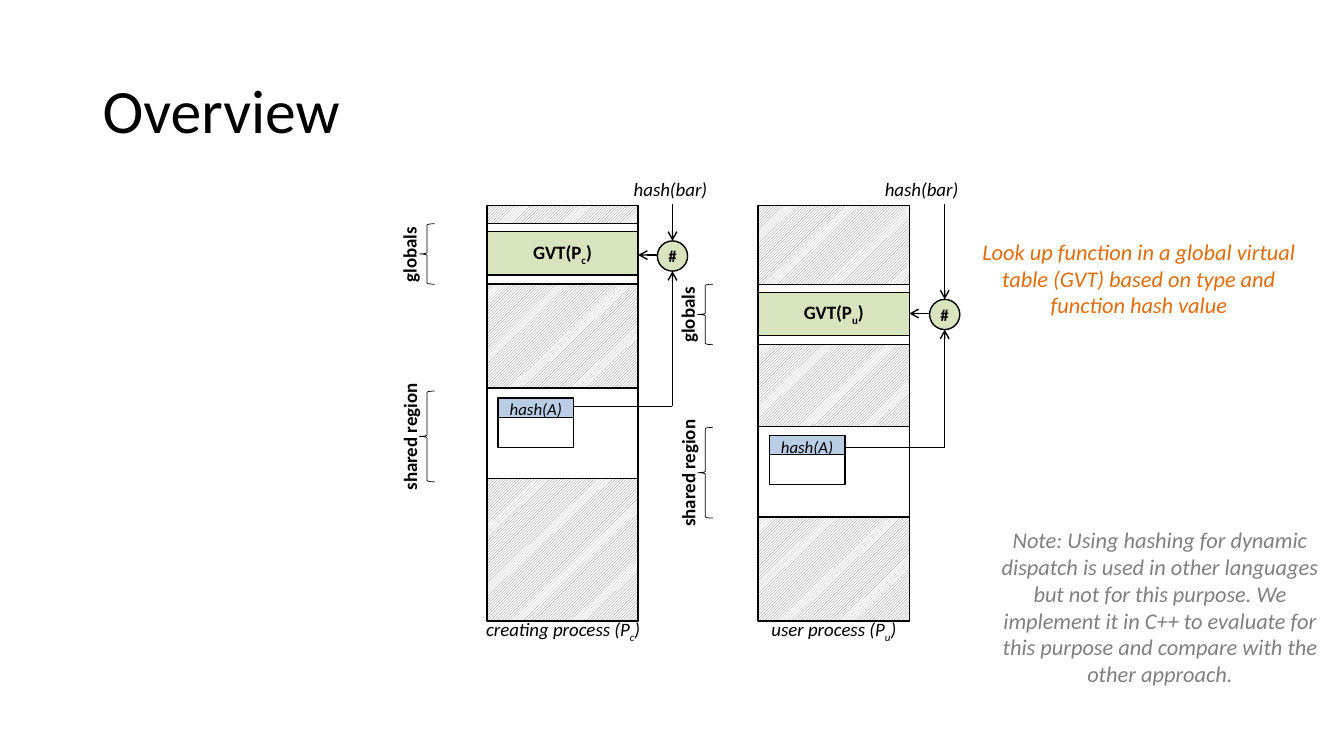
from lxml import etree
from pptx import Presentation
from pptx.dml.color import RGBColor
from pptx.enum.dml import MSO_PATTERN
from pptx.enum.shapes import MSO_CONNECTOR, MSO_SHAPE
from pptx.enum.text import MSO_ANCHOR, MSO_AUTO_SIZE, PP_ALIGN
from pptx.oxml.ns import qn
from pptx.util import Pt

RECT, OVAL, BRACE = MSO_SHAPE.RECTANGLE, MSO_SHAPE.OVAL, MSO_SHAPE.LEFT_BRACE
STRAIGHT = MSO_CONNECTOR.STRAIGHT
HATCH = MSO_PATTERN.LIGHT_UPWARD_DIAGONAL
MIDDLE = MSO_ANCHOR.MIDDLE
LEFT, CENTER = PP_ALIGN.LEFT, PP_ALIGN.CENTER
GROW = MSO_AUTO_SIZE.SHAPE_TO_FIT_TEXT
PX = 9144
FONT = "Calibri"
COLORS = {name: RGBColor.from_string(value) for name, value in {
    "black": "000000", "white": "FFFFFF", "gray": "808080",
    "green": "D7E4BD", "blue": "B9CDE5", "orange": "E46C0A"}.items()}

prs = Presentation()
prs.slide_width, prs.slide_height = 1333 * PX, 750 * PX
shapes = prs.slides.add_slide(prs.slide_layouts[6]).shapes


def add_block(kind, x, y, w, h, fill=None, weight=1):
    block = shapes.add_shape(kind, x * PX, y * PX, w * PX, h * PX)
    block.shadow.inherit = False
    block.line.color.rgb = COLORS["black"]
    block.line.width = Pt(weight)
    if fill:
        block.fill.solid()
        block.fill.fore_color.rgb = COLORS[fill]
    else:
        block.fill.background()
    frame = block.text_frame
    frame.margin_left = frame.margin_right = frame.margin_top = frame.margin_bottom = 0
    frame.vertical_anchor = MIDDLE
    frame.word_wrap = False
    return block


def write(holder, parts, size, bold=False, italic=False, color="black", align=CENTER):
    paragraph = holder.text_frame.paragraphs[0]
    paragraph.alignment = align
    for index, part in enumerate(parts):
        run = paragraph.add_run()
        run.text = part
        run.font.name, run.font.size = FONT, Pt(size)
        run.font.bold, run.font.italic = bold, italic
        run.font.color.rgb = COLORS[color]
        if index == 1:
            run.font._element.set("baseline", "-25000")


title = shapes.add_textbox(92 * PX, 40 * PX, 1150 * PX, 145 * PX)
title.text_frame.word_wrap = True
title.text_frame.vertical_anchor = MIDDLE
write(title, ["Overview"], 44, align=LEFT)
title.text_frame.paragraphs[0].line_spacing = 0.9

MEMORY_Y, MEMORY_W, MEMORY_H = 204, 150, 412
GLOBALS_H, SHARED_H = 60, 90
HASH_SIZE = 30

processes = [
    dict(name="creating process (P", suffix="c", x=483, globals_y=222, shared_y=385,
         object_y=395, link_y=403, hash_x=667, hash_y=254, call_x=618,
         brace_x=416, shared_brace_y=388, caption_x=471, caption_w=175),
    dict(name="user process (P", suffix="u", x=752, globals_y=282, shared_y=423,
         object_y=432, link_y=444, hash_x=937, hash_y=312, call_x=867,
         brace_x=692, shared_brace_y=424, caption_x=754, caption_w=146),
]

for process in processes:
    x, suffix = process["x"], process["suffix"]
    object_x, object_y = x + 11, process["object_y"]
    hash_x, hash_y, link_y = process["hash_x"], process["hash_y"], process["link_y"]
    radius = HASH_SIZE // 2

    memory = add_block(RECT, x, MEMORY_Y, MEMORY_W, MEMORY_H)
    memory.fill.patterned()
    memory.fill.pattern = HATCH
    memory.fill.fore_color.rgb = COLORS["gray"]
    memory.fill.back_color.rgb = COLORS["white"]
    add_block(RECT, x, process["globals_y"], MEMORY_W, GLOBALS_H, "white")
    add_block(RECT, x, process["shared_y"], MEMORY_W, SHARED_H, "white")
    object_hash = add_block(RECT, object_x, object_y, 75, 22, "blue")
    write(object_hash, ["hash(A)"], 12, italic=True)
    add_block(RECT, object_x, object_y + 19, 75, 30, "white")
    table = add_block(RECT, x, process["globals_y"] + 8, MEMORY_W, 43, "green")
    write(table, ["GVT(P", suffix, ")"], 13.5, bold=True)

    arrows = [
        (object_x + 75, link_y, hash_x, link_y, False),
        (hash_x, link_y, hash_x, hash_y + radius, True),
        (hash_x, 202, hash_x, hash_y - radius, True),
        (hash_x - radius, hash_y - 1, x + MEMORY_W, hash_y - 1, True),
    ]
    for x1, y1, x2, y2, pointed in arrows:
        arrow = shapes.add_connector(STRAIGHT, x1 * PX, y1 * PX, x2 * PX, y2 * PX)
        arrow.line.color.rgb = COLORS["black"]
        arrow.line.width = Pt(1)
        if pointed:
            etree.SubElement(arrow.line._get_or_add_ln(), qn("a:tailEnd"), type="arrow")
        etree.SubElement(arrow._element.spPr, qn("a:effectLst"))

    hash_node = add_block(OVAL, hash_x - radius, hash_y - radius, HASH_SIZE, HASH_SIZE, "green")
    write(hash_node, ["#"], 12, bold=True)

    captions = [
        (process["call_x"], 171, 94, ["hash(bar)"]),
        (process["caption_x"], 608, process["caption_w"], [process["name"], suffix, ")"]),
    ]
    for left, top, width, parts in captions:
        caption = shapes.add_textbox(left * PX, top * PX, width * PX, 33 * PX)
        caption.text_frame.word_wrap = False
        caption.text_frame.auto_size = GROW
        write(caption, parts, 13.5, italic=True)

    regions = [
        ("globals", process["globals_y"], GLOBALS_H, 76),
        ("shared region", process["shared_brace_y"], SHARED_H, 127),
    ]
    for region, top, height, width in regions:
        add_block(BRACE, process["brace_x"], top, 15, height, weight=0.5)
        label_x = process["brace_x"] - 10 - width // 2
        label_y = top + height // 2 - 16
        label = shapes.add_textbox(label_x * PX, label_y * PX, width * PX, 33 * PX)
        label.rotation = 270
        label.text_frame.word_wrap = False
        label.text_frame.auto_size = GROW
        write(label, [region], 13.5, bold=True)

remarks = [
    (971, 517, 172, "gray",
     "Note: Using hashing for dynamic dispatch is used in other languages but not for this "
     "purpose. We implement it in C++ to evaluate for this purpose and compare with the "
     "other approach."),
    (950, 231, 91, "orange",
     "Look up function in a global virtual table (GVT) based on type and function hash value"),
]
for left, top, height, color, wording in remarks:
    remark = shapes.add_textbox(left * PX, top * PX, 359 * PX, height * PX)
    remark.text_frame.word_wrap = True
    remark.text_frame.auto_size = GROW
    write(remark, [wording], 16, italic=True, color=color)

prs.save("out.pptx")
